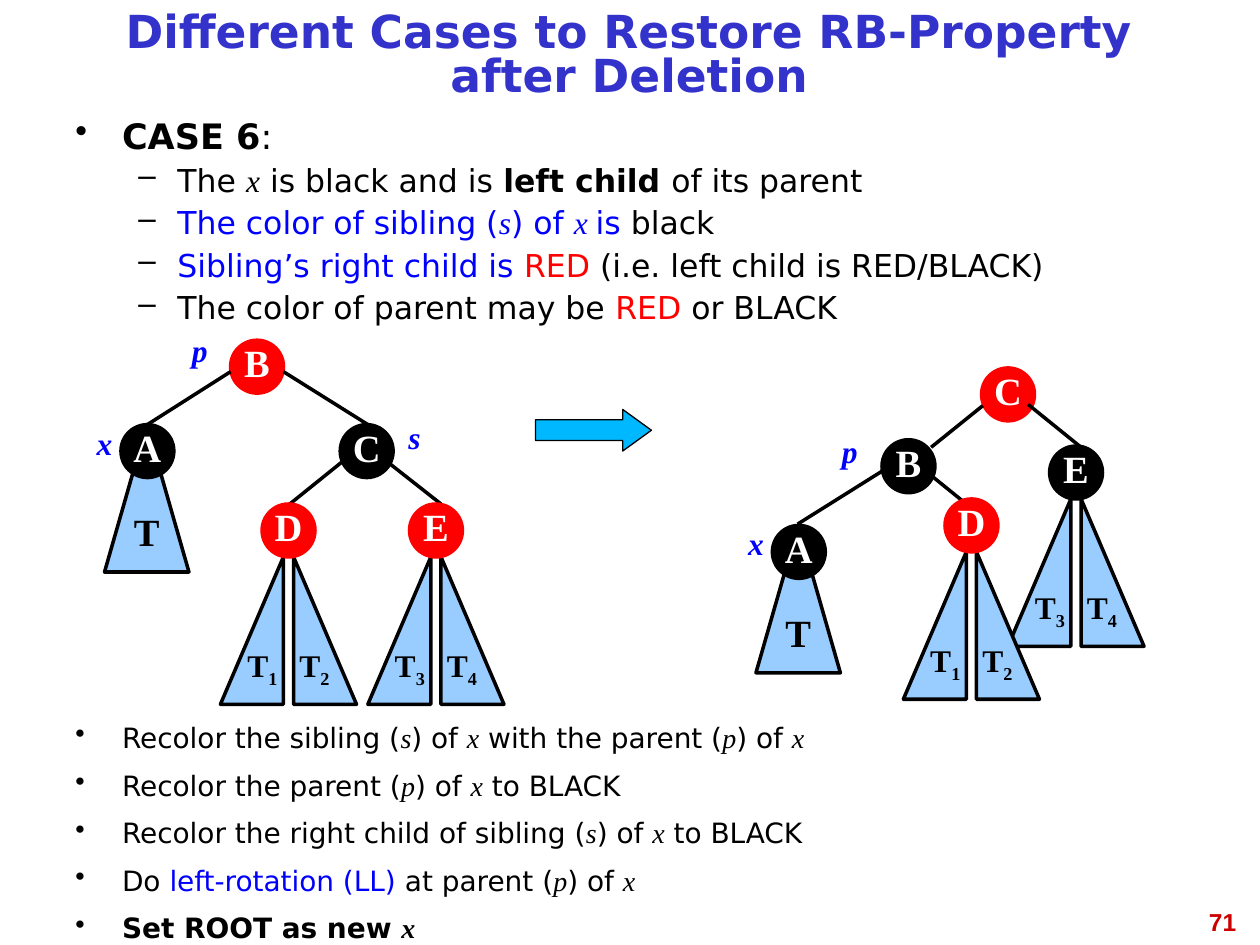
from lxml import etree
from pptx import Presentation
from pptx.dml.color import RGBColor
from pptx.enum import shapes, text
from pptx.oxml.ns import qn
from pptx.util import Inches, Pt

BLACK, WHITE = RGBColor(0, 0, 0), RGBColor(255, 255, 255)
RED, BLUE = RGBColor(255, 0, 0), RGBColor(0, 0, 255)
INDIGO, CRIMSON = RGBColor(0x33, 0x33, 0xCC), RGBColor(0xCC, 0, 0)
SKY, CYAN = RGBColor(0x99, 0xCC, 0xFF), RGBColor(0, 0xB8, 0xFF)
SANS, SERIF = "DejaVu Sans", "Times New Roman"
NODE = 0.42
WEDGE_W, WEDGE_H = 0.5, 1.17
SHAPE, ALIGN = shapes.MSO_SHAPE, text.PP_ALIGN

VAR = dict(font=SERIF, italic=True)
BLUE_VAR = dict(VAR, color=BLUE)


def add_run(p, words, size=18, font=SANS, color=BLACK, bold=False, italic=False, base=None):
    r = p.add_run()
    r.text = words
    r.font.size, r.font.name = Pt(size), font
    r.font.bold, r.font.italic = bold, italic
    r.font.color.rgb = color
    if base:
        r.font._element.set("baseline", str(base))


def add_box(s, left, top, width, height):
    sp = s.shapes.add_textbox(Inches(left), Inches(top), Inches(width), Inches(height))
    sp.text_frame.word_wrap = True
    return sp.text_frame


def add_words(s, box, words, align=ALIGN.CENTER, **fmt):
    tf = add_box(s, *box)
    tf.paragraphs[0].alignment = align
    add_run(tf.paragraphs[0], words, **fmt)
    return tf


def add_title(s, box, words):
    tf = add_words(s, box, words, size=26, color=INDIGO, bold=True)
    tf.vertical_anchor = text.MSO_ANCHOR.MIDDLE
    tf.paragraphs[0].line_spacing = 0.81


def set_bullet(p, char, margin, indent):
    pPr = p._p.get_or_add_pPr()
    pPr.set("marL", str(Inches(margin)))
    pPr.set("indent", str(Inches(-indent)))
    color = etree.SubElement(pPr, qn("a:buClr"))
    etree.SubElement(color, qn("a:srgbClr")).set("val", str(BLACK))
    etree.SubElement(pPr, qn("a:buChar")).set("char", char)


def add_list(s, box, items, sizes, spacing=1.0):
    """Each item is (level, runs); a run is plain text or (text, format)."""
    tf = add_box(s, *box)
    for i, (level, runs) in enumerate(items):
        p = tf.add_paragraph() if i else tf.paragraphs[0]
        p.alignment, p.level, p.line_spacing = ALIGN.JUSTIFY, level, spacing
        p.space_before = Pt((8, 7)[level] if i else 0)
        set_bullet(p, "•–"[level], (0.37, 0.81)[level], (0.37, 0.31)[level])
        for run in runs:
            words, fmt = (run, {}) if isinstance(run, str) else run
            add_run(p, words, size=sizes[level], **fmt)


def add_figure(s, kind, left, top, width, height, fill, line=BLACK, weight=2):
    sp = s.shapes.add_shape(kind, Inches(left), Inches(top), Inches(width), Inches(height))
    sp.shadow.inherit = False
    sp.fill.solid()
    sp.fill.fore_color.rgb = fill
    sp.line.color.rgb, sp.line.width = line, Pt(weight)
    return sp


def add_caption(sp, words, size=22, color=BLACK, sub=None):
    tf = sp.text_frame
    tf.word_wrap = False
    tf.vertical_anchor = text.MSO_ANCHOR.MIDDLE
    p = tf.paragraphs[0]
    p.alignment, p.line_spacing = ALIGN.CENTER, 0.81
    fmt = dict(size=size, font=SERIF, color=color, bold=True)
    add_run(p, words, **fmt)
    if sub:
        add_run(p, sub, base=-25000, **fmt)


def add_node(s, left, top, name, color):
    sp = add_figure(s, SHAPE.OVAL, left, top, NODE, NODE, color, color)
    add_caption(sp, name, color=WHITE)


def add_edge(s, x1, y1, x2, y2):
    c = s.shapes.add_connector(shapes.MSO_CONNECTOR.STRAIGHT,
                               Inches(x1), Inches(y1), Inches(x2), Inches(y2))
    c.line.color.rgb, c.line.width = BLACK, Pt(2)
    etree.SubElement(c._element.spPr, qn("a:effectLst"))


def add_subtrees(s, left, top, name):
    """Hang the subtrees of the node at (left, top) beneath it."""
    if name == "A":
        sp = add_figure(s, SHAPE.ISOSCELES_TRIANGLE, left - 0.13, top, 0.67, WEDGE_H, SKY)
        add_caption(sp, "T")
    for dx, sub in zip((0.25, -0.33), {"D": "21", "E": "43"}.get(name, "")):
        sp = add_figure(s, SHAPE.RIGHT_TRIANGLE, left + dx, top + NODE, WEDGE_W, WEDGE_H, SKY)
        if dx < 0:
            sp._element.spPr.get_or_add_xfrm().set("flipH", "1")
        add_caption(sp, "T", size=18, sub=sub)


def add_tree(s, left, top, nodes, edges, labels):
    """Nodes start with the root; all positions are relative to (left, top)."""
    placed = [(left + x, top + y, name, color) for name, x, y, color in nodes]
    add_node(s, *placed[0])
    for x1, y1, x2, y2 in edges:
        add_edge(s, left + x1, top + y1, left + x2, top + y2)
    for x, y, name, color in placed[1:]:
        add_subtrees(s, x, y, name)
        add_node(s, x, y, name, color)
    for name, x, y, width in labels:
        tf = add_words(s, (left + x, top + y, width, 0.4), name,
                       font=SERIF, color=BLUE, bold=True, italic=True)
        tf.auto_size = text.MSO_AUTO_SIZE.SHAPE_TO_FIT_TEXT


CASE = [
    (0, [("CASE 6", dict(bold=True)), ":"]),
    (1, ["The ", ("x", VAR), " is black and is ", ("left child ", dict(bold=True)),
         "of its parent"]),
    (1, [("The color of sibling (", dict(color=BLUE)), ("s", BLUE_VAR),
         (") of ", dict(color=BLUE)), ("x ", BLUE_VAR), ("is ", dict(color=BLUE)), "black "]),
    (1, [("Sibling’s right child is ", dict(color=BLUE)), ("RED ", dict(color=RED)),
         "(i.e. left child is RED/BLACK)"]),
    (1, ["The color of parent may be ", ("RED", dict(color=RED)), " or BLACK"]),
]
STEPS = [
    (0, ["Recolor the sibling (", ("s", VAR), ") of ", ("x", VAR), " with the parent (",
         ("p", VAR), ") of ", ("x", VAR)]),
    (0, ["Recolor the parent (", ("p", VAR), ") of ", ("x", VAR), " to BLACK"]),
    (0, ["Recolor the right child of sibling (", ("s", VAR), ") of ", ("x", VAR), " to BLACK"]),
    (0, ["Do ", ("left-rotation (LL)", dict(color=BLUE)), " at parent (", ("p", VAR),
         ") of ", ("x", VAR)]),
    (0, [("Set ROOT as new ", dict(bold=True)), ("x", dict(VAR, bold=True))]),
]
BEFORE = dict(
    nodes=[("B", 1.25, 0.12, RED), ("C", 2.12, 0.79, BLACK), ("A", 0.38, 0.79, BLACK),
           ("D", 1.5, 1.42, RED), ("E", 2.67, 1.42, RED)],
    edges=[(1.67, 0.37, 2.34, 0.79), (0.59, 0.79, 1.25, 0.37),
           (1.72, 1.42, 2.13, 1.09), (2.92, 1.42, 2.5, 1.09)],
    labels=[("p", 0.59, 0, 0.83), ("s", 2.42, 0.69, 0.58), ("x", 0, 0.74, 0.5)])
AFTER = dict(
    nodes=[("C", 2.04, 0, RED), ("B", 1.25, 0.57, BLACK), ("A", 0.38, 1.25, BLACK),
           ("E", 2.58, 0.62, BLACK), ("D", 1.75, 1.04, RED)],
    edges=[(1.64, 0.63, 2.05, 0.3), (2.83, 0.63, 2.41, 0.29),
           (0.58, 1.24, 1.25, 0.82), (2.08, 1.21, 1.66, 0.87)],
    labels=[("p", 0.58, 0.46, 0.83), ("x", 0, 1.19, 0.5)])


def main():
    prs = Presentation()
    prs.slide_width, prs.slide_height = Inches(10), Inches(7.5)
    s = prs.slides.add_slide(prs.slide_layouts[6])
    add_title(s, (0.5, 0.08, 8.99, 0.75),
              "Different Cases to Restore RB-Property after Deletion")
    add_list(s, (0.5, 0.92, 8.99, 1.92), CASE, (20, 18), spacing=0.8)
    add_tree(s, 0.58, 2.58, **BEFORE)
    arrow = add_figure(s, SHAPE.RIGHT_ARROW, 4.25, 3.25, 0.92, 0.33, CYAN, weight=0.75)
    arrow.adjustments[1] = 0.69
    add_tree(s, 5.75, 2.92, **AFTER)
    add_list(s, (0.5, 5.67, 8.99, 1.67), STEPS, (16,))
    add_words(s, (7.58, 7.15, 2.33, 0.52), "71", align=ALIGN.RIGHT,
              size=14, font="Arial", color=CRIMSON, bold=True)
    prs.save("out.pptx")


if __name__ == "__main__":
    main()
